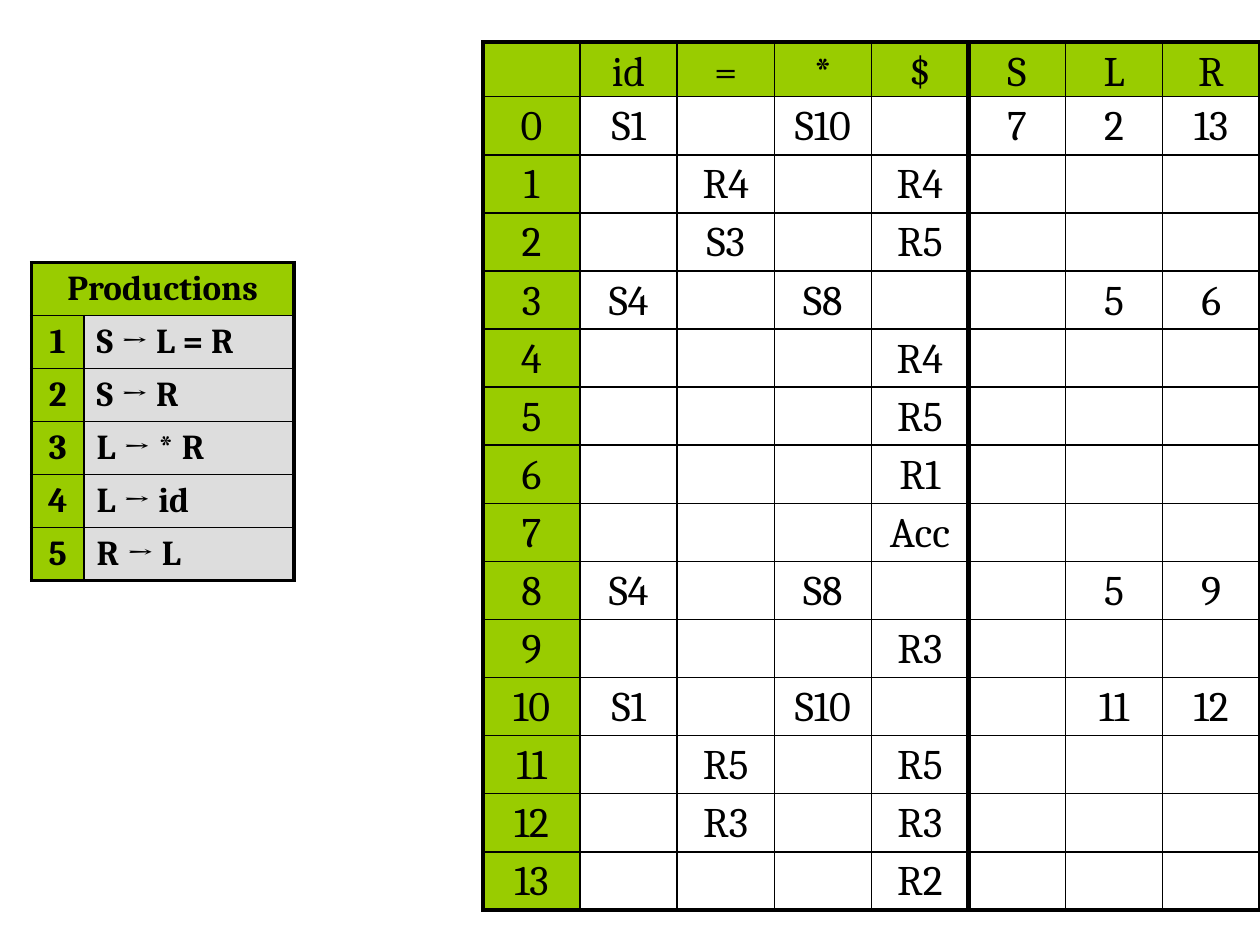
from lxml.etree import SubElement
from pptx import Presentation
from pptx.dml.color import RGBColor
from pptx.enum.text import MSO_ANCHOR as Anchor, PP_ALIGN as Align
from pptx.oxml.ns import qn
from pptx.util import Pt

BLACK = RGBColor(0x00, 0x00, 0x00)
GREEN = RGBColor(0x99, 0xCC, 0x00)
GREY = RGBColor(0xDD, 0xDD, 0xDD)

ACTION_ROWS = [
    ["", "id", "=", "*", "$", "S", "L", "R"],
    ["0", "S1", "", "S10", "", "7", "2", "13"],
    ["1", "", "R4", "", "R4", "", "", ""],
    ["2", "", "S3", "", "R5", "", "", ""],
    ["3", "S4", "", "S8", "", "", "5", "6"],
    ["4", "", "", "", "R4", "", "", ""],
    ["5", "", "", "", "R5", "", "", ""],
    ["6", "", "", "", "R1", "", "", ""],
    ["7", "", "", "", "Acc", "", "", ""],
    ["8", "S4", "", "S8", "", "", "5", "9"],
    ["9", "", "", "", "R3", "", "", ""],
    ["10", "S1", "", "S10", "", "", "11", "12"],
    ["11", "", "R5", "", "R5", "", "", ""],
    ["12", "", "R3", "", "R3", "", "", ""],
    ["13", "", "", "", "R2", "", "", ""],
]
PRODUCTIONS = [
    ["Productions", ""],
    ["1", "S → L = R"],
    ["2", "S → R"],
    ["3", "L → * R"],
    ["4", "L → id"],
    ["5", "R → L"],
]


class SlideBuilder:
    font = "Cambria"
    thin, frame, divider = 1, 2.25, 3

    def __init__(self, slide):
        self.slide = slide

    def grid(self, rows, left, top, widths, heights):
        """Add an empty, unbanded table of the given column and row sizes."""
        table = self.slide.shapes.add_table(
            len(rows), len(widths), Pt(left), Pt(top),
            Pt(sum(widths)), Pt(sum(heights))).table
        table.first_row = table.horz_banding = False
        for column, width in zip(table.columns, widths):
            column.width = Pt(width)
        for row, height in zip(table.rows, heights):
            row.height = Pt(height)
        return table

    def label(self, cell, text, size, bold=False, align=Align.CENTER):
        cell.vertical_anchor = Anchor.TOP
        para = cell.text_frame.paragraphs[0]
        para.text = text
        para.alignment = align
        for span in para.runs:
            span.font.name = self.font
            span.font.size = Pt(size)
            span.font.bold = bold
            span.font.color.rgb = BLACK

    def paint(self, cell, color):
        if color is None:
            cell.fill.background()
        else:
            cell.fill.solid()
            cell.fill.fore_color.rgb = color

    def rule(self, table, divider_at=None):
        """Draw thin inner lines, a heavier frame and an optional divider."""
        row_count, column_count = len(table.rows), len(table.columns)

        def weight(edge, last):
            return self.frame if edge in (0, last) else self.thin

        def column_weight(edge):
            return self.divider if edge == divider_at else weight(edge, column_count)

        for r in range(row_count):
            for c in range(column_count):
                cell = table.cell(r, c)
                if cell.is_spanned:
                    continue
                right = c + (cell.span_width if cell.is_merge_origin else 1)
                edges = {"L": column_weight(c), "R": column_weight(right),
                         "T": weight(r, row_count), "B": weight(r + 1, row_count)}
                properties = cell._tc.get_or_add_tcPr()
                for side, width in edges.items():
                    line = SubElement(properties, qn(f"a:ln{side}"), w=str(Pt(width)))
                    fill = SubElement(line, qn("a:solidFill"))
                    SubElement(fill, qn("a:srgbClr"), val=str(BLACK))

    def action_table(self, rows, left, top, widths, heights, divider_at):
        table = self.grid(rows, left, top, widths, heights)
        self.rule(table, divider_at)
        for r, row in enumerate(rows):
            for c, text in enumerate(row):
                cell = table.cell(r, c)
                cell.margin_left = cell.margin_right = cell.margin_bottom = 0
                cell.margin_top = Pt(3.6)
                self.label(cell, text, 24)
                self.paint(cell, GREEN if r == 0 or c == 0 else None)

    def production_table(self, rows, left, top, widths, heights):
        table = self.grid(rows, left, top, widths, heights)
        table.cell(0, 0).merge(table.cell(0, 1))
        self.rule(table)
        for r, row in enumerate(rows):
            for c, text in enumerate(row):
                cell = table.cell(r, c)
                if cell.is_spanned:
                    continue
                is_rule = c == 1
                self.label(cell, text, 20, True, Align.LEFT if is_rule else Align.CENTER)
                self.paint(cell, GREY if is_rule else GREEN)


def main():
    deck = Presentation()
    deck.slide_width, deck.slide_height = Pt(720), Pt(540)
    page = SlideBuilder(deck.slides.add_slide(deck.slide_layouts[6]))

    # Parsing table: actions left of the divider, gotos right of it
    page.action_table(ACTION_ROWS, 276, 24, [55.5] * 8, [31.1] + [33.2] * 14, divider_at=5)

    # Numbered grammar productions
    page.production_table(PRODUCTIONS, 18, 150, [30, 120], [30.2] * 6)

    deck.save("out.pptx")


if __name__ == "__main__":
    main()
